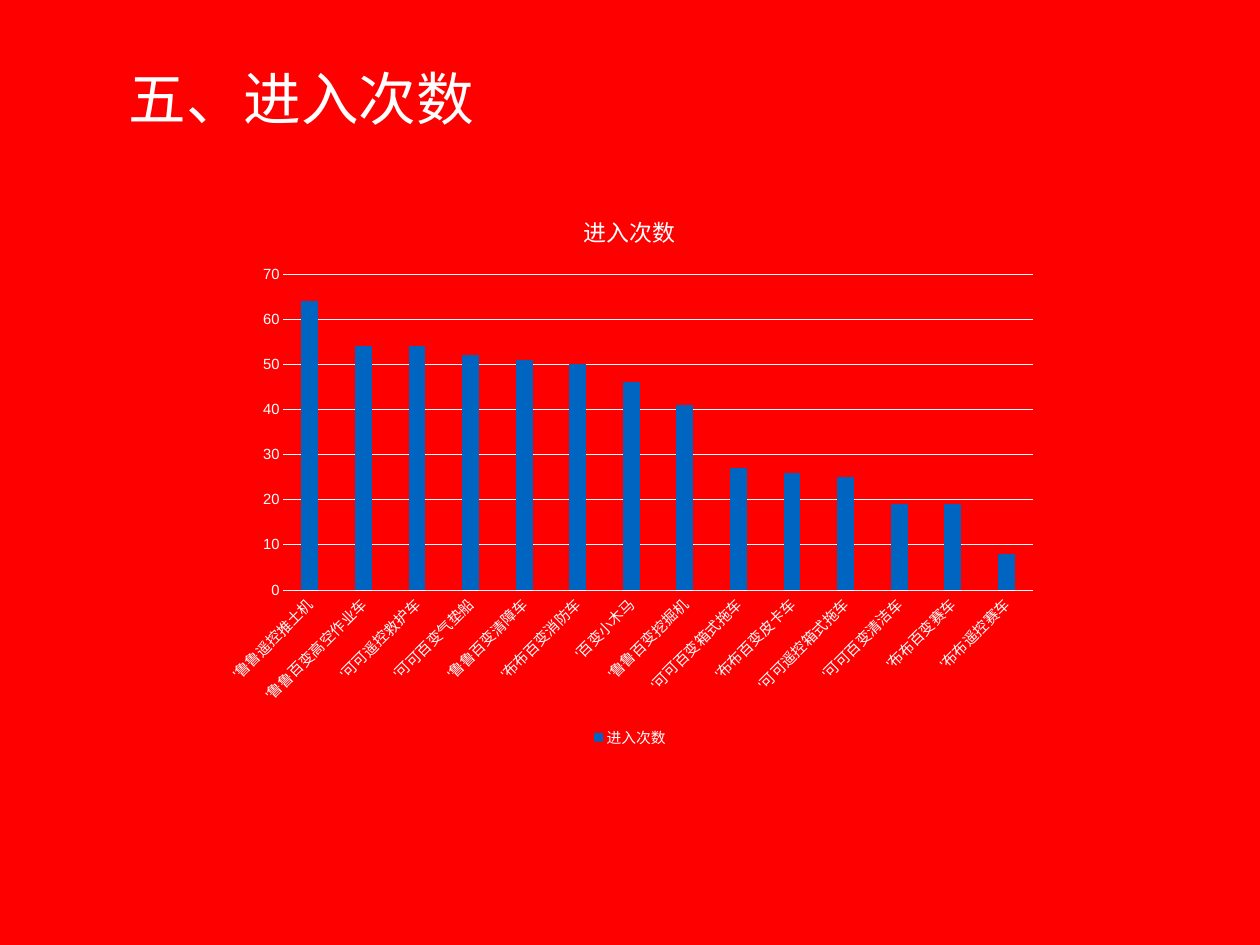
from lxml.etree import SubElement
from pptx import Presentation
from pptx.chart.data import CategoryChartData
from pptx.dml.color import RGBColor
from pptx.enum.chart import XL_CHART_TYPE, XL_LEGEND_POSITION, XL_TICK_MARK
from pptx.enum.text import MSO_ANCHOR, MSO_AUTO_SIZE, PP_ALIGN
from pptx.oxml.ns import qn
from pptx.util import Inches, Pt

RED = RGBColor(0xFF, 0x00, 0x00)
WHITE = RGBColor(0xFF, 0xFF, 0xFF)
BLUE = RGBColor(0x00, 0x65, 0xC1)

TITLE_FONT = "Noto Sans CJK SC"
CHART_FONT = "Arial"
SERIES_NAME = "进入次数"
ENTRIES = {
    "'鲁鲁遥控推土机": 64,
    "'鲁鲁百变高空作业车": 54,
    "'可可遥控救护车": 54,
    "'可可百变气垫船": 52,
    "'鲁鲁百变清障车": 51,
    "'布布百变消防车": 50,
    "'百变小木马": 46,
    "'鲁鲁百变挖掘机": 41,
    "'可可百变箱式拖车": 27,
    "'布布百变皮卡车": 26,
    "'可可遥控箱式拖车": 25,
    "'可可百变清洁车": 19,
    "'布布百变赛车": 19,
    "'布布遥控赛车": 8,
}


def apply(target, values):
    for name, value in values.items():
        setattr(target, name, value)


class EntryPage:
    def __init__(self, deck):
        self.page = deck.slides.add_slide(deck.slide_layouts[5])
        background = self.page.background.fill
        background.solid()
        background.fore_color.rgb = RED

    def style_font(self, font, size, name=CHART_FONT):
        apply(font, {"size": Pt(size), "name": name, "bold": False})
        font.color.rgb = WHITE

    def style_line(self, line):
        line.color.rgb = WHITE
        line.width = Pt(0.75)

    def add_title(self, text, left, top, width, height):
        box = self.page.shapes.title
        apply(box, {"left": Inches(left), "top": Inches(top),
                    "width": Inches(width), "height": Inches(height)})
        frame = box.text_frame
        apply(frame, {"auto_size": MSO_AUTO_SIZE.NONE, "word_wrap": True,
                      "vertical_anchor": MSO_ANCHOR.BOTTOM})
        apply(frame, dict.fromkeys(
            ("margin_left", "margin_top", "margin_right", "margin_bottom"),
            Inches(0.06)))
        para = frame.paragraphs[0]
        apply(para, {"alignment": PP_ALIGN.LEFT, "line_spacing": 0.9})
        span = para.add_run()
        span.text = text
        self.style_font(span.font, 46.8, TITLE_FONT)
        SubElement(span.font._element, qn("a:ea"), typeface=TITLE_FONT)

    def style_axis(self, axis):
        apply(axis, {"major_tick_mark": XL_TICK_MARK.NONE,
                     "minor_tick_mark": XL_TICK_MARK.NONE})
        self.style_font(axis.tick_labels.font, 12)

    def add_columns(self, left, top, width, height):
        data = CategoryChartData()
        data.categories = list(ENTRIES)
        data.add_series(SERIES_NAME, list(ENTRIES.values()))
        chart = self.page.shapes.add_chart(
            XL_CHART_TYPE.COLUMN_CLUSTERED, Inches(left), Inches(top),
            Inches(width), Inches(height), data).chart
        self.style_font(chart.font, 10)

        chart.has_title = True
        heading = chart.chart_title.text_frame
        heading.text = SERIES_NAME
        self.style_font(heading.paragraphs[0].runs[0].font, 18.6)
        chart.chart_title.include_in_layout = False

        chart.has_legend = True
        apply(chart.legend, {"position": XL_LEGEND_POSITION.BOTTOM,
                             "include_in_layout": False})
        self.style_font(chart.legend.font, 12)

        plot = chart.plots[0]
        apply(plot, {"gap_width": 219, "overlap": -27, "vary_by_categories": False})
        column = plot.series[0]
        column.format.fill.solid()
        column.format.fill.fore_color.rgb = BLUE

        names, counts = chart.category_axis, chart.value_axis
        for axis in (names, counts):
            self.style_axis(axis)
        self.style_line(names.format.line)
        names._element.find(qn("c:txPr")).find(qn("a:bodyPr")).set("rot", "-2700000")
        apply(counts, {"minimum_scale": 0, "maximum_scale": 70, "major_unit": 10})
        counts.format.line.fill.background()
        self.style_line(counts.major_gridlines.format.line)


def main():
    deck = Presentation()
    apply(deck, {"slide_width": Inches(14.22), "slide_height": Inches(10.67)})
    entry_page = EntryPage(deck)
    entry_page.add_title("五、进入次数", 1.39, 0.68, 11.44, 0.88)
    entry_page.add_columns(2.37, 2.17, 9.48, 6.32)
    deck.save("out.pptx")


if __name__ == "__main__":
    main()
